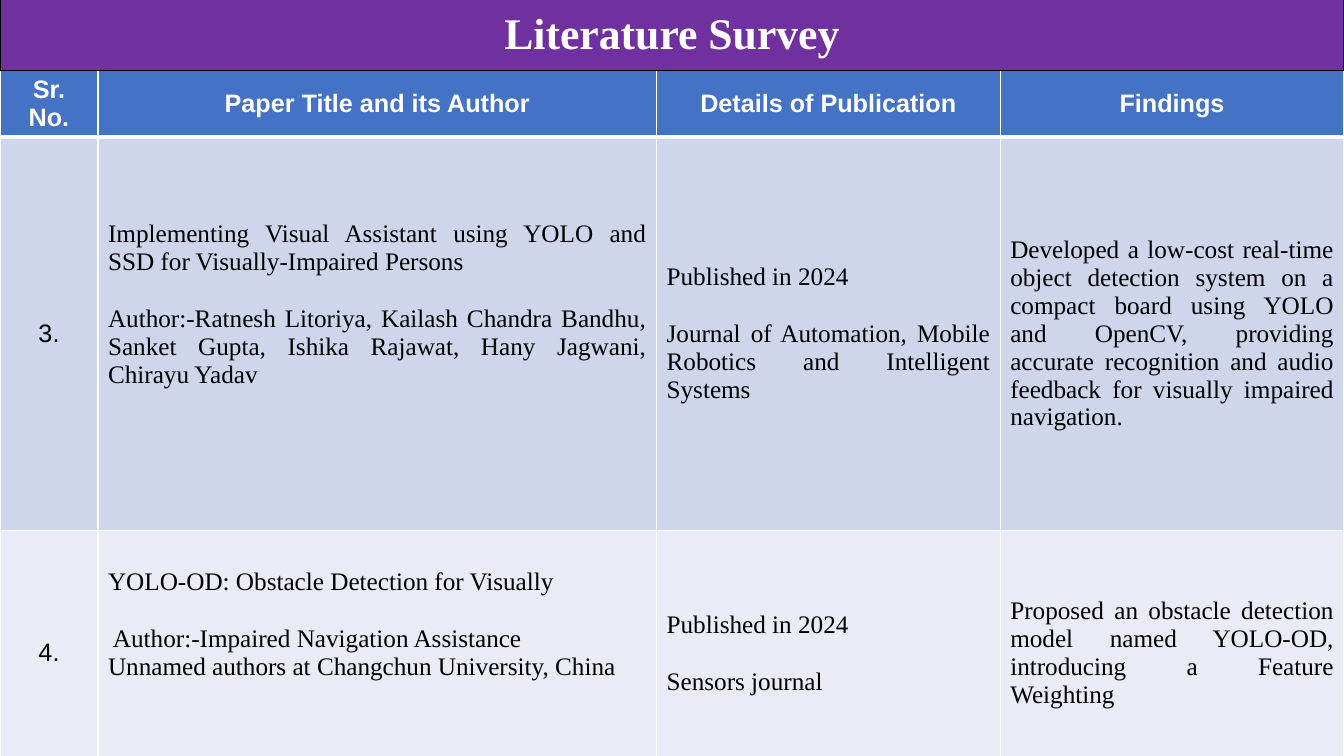
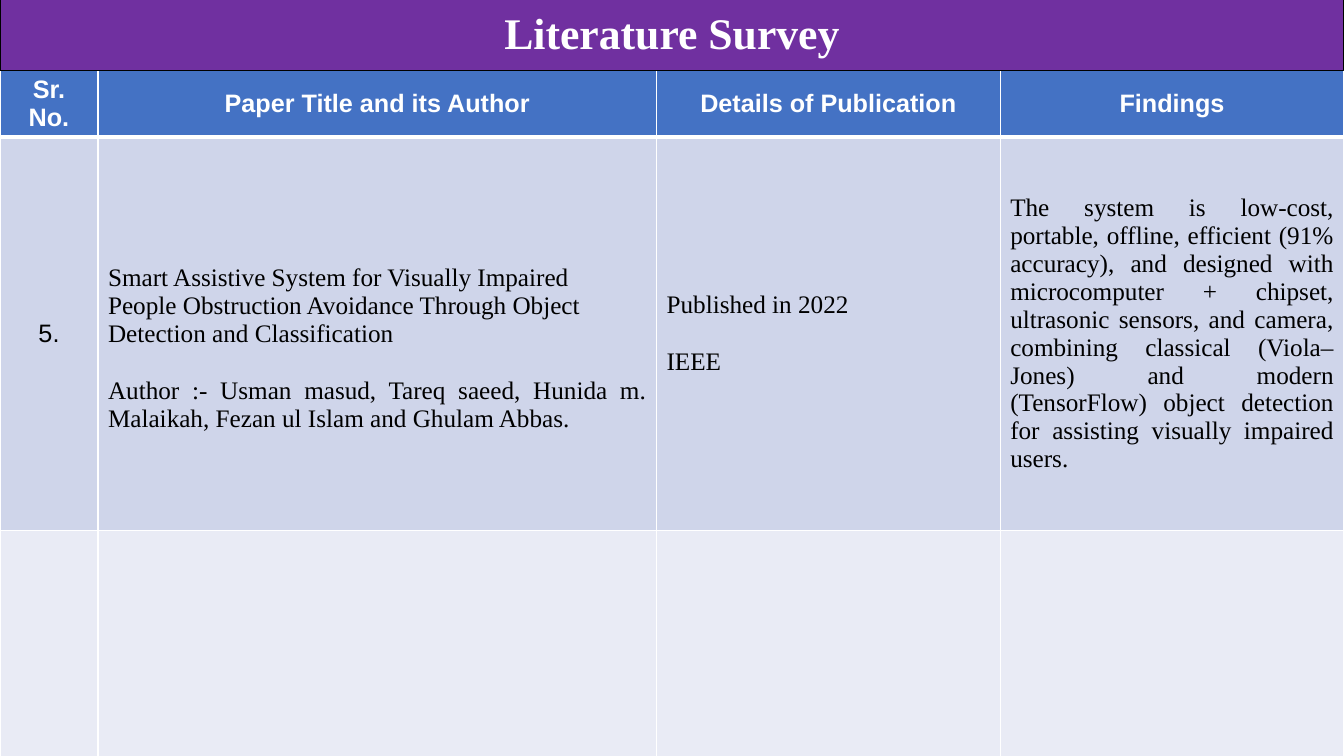
import pptx
import pptx.dml.color
import pptx.enum.shapes
import pptx.enum.text
import pptx.oxml
import pptx.oxml.ns
import pptx.util

Pt = pptx.util.Pt
RGB = pptx.dml.color.RGBColor.from_string
ALIGN = pptx.enum.text.PP_ALIGN
MIDDLE = pptx.enum.text.MSO_ANCHOR.MIDDLE

THEME = {
    "banner": "7030A0", "banner_line": "000000",
    "header": "4472C4", "bands": ("CFD5EA", "E9EBF5"), "border": "FFFFFF",
    "thin": 1, "thick": 3, "line": 20.7,
    "title": {"name": "Times New Roman", "size": Pt(31.2), "bold": True, "color": "FFFFFF"},
    "head": {"name": "Arial", "size": Pt(18), "bold": True, "color": "FFFFFF"},
    "number": {"name": "Arial", "size": Pt(18), "bold": False, "color": "000000"},
    "body": {"name": "Times New Roman", "size": Pt(18), "bold": False, "color": "000000"},
}
WIDTH, HEIGHT, BANNER_H = 960, 540, 50.4
COL_WIDTHS = (70, 399, 245.5, 245.5)
ROW_HEIGHTS = (33.1, 280.8, 175.7)
HEADINGS = ("Sr. No.", "Paper Title and its Author", "Details of Publication", "Findings")

# Papers per slide: an empty line in a cell marks a gap between paragraphs.
# Offsets give the lines of extra room above and below the paper title cell.
SLIDES = [
    {
        "rows": [
            ("3.",
             "Implementing Visual Assistant using YOLO and SSD for Visually-Impaired Persons\n\n"
             "Author:-Ratnesh Litoriya, Kailash Chandra Bandhu, Sanket Gupta, Ishika Rajawat, "
             "Hany Jagwani, Chirayu Yadav",
             "Published in 2024\n\nJournal of Automation, Mobile Robotics and Intelligent Systems",
             "Developed a low-cost real-time object detection system on a compact board using YOLO "
             "and OpenCV, providing accurate recognition and audio feedback for visually impaired "
             "navigation."),
            ("4.",
             "YOLO-OD: Obstacle Detection for Visually\n\n"
             " Author:-Impaired Navigation Assistance\n"
             "Unnamed authors at Changchun University, China",
             "Published in 2024\n\nSensors journal",
             "Proposed an obstacle detection model named YOLO-OD, introducing a Feature Weighting"),
        ],
        "offsets": [(0, 2), (0, 2)],
    },
    {
        "rows": [
            ("5.",
             "Smart Assistive System for Visually Impaired\n"
             "People Obstruction Avoidance Through Object\n"
             "Detection and Classification\n\n"
             "Author :- Usman masud, Tareq saeed, Hunida m. Malaikah, Fezan ul Islam and Ghulam Abbas.",
             "Published in 2022\n\nIEEE",
             "The system is low-cost, portable, offline, efficient (91% accuracy), and designed with "
             "microcomputer + chipset, ultrasonic sensors, and camera, combining classical "
             "(Viola–Jones) and modern (TensorFlow) object detection for assisting visually impaired "
             "users."),
            ("", "", "", ""),
        ],
        "offsets": [(1, 0), (0, 0)],
    },
]


def write(tf, text, style, align):
    """Fill a text frame, turning empty lines into space before a paragraph."""
    p = tf.paragraphs[0]
    for b, block in enumerate(text.split("\n\n")):
        for n, line in enumerate(block.split("\n")):
            if b or n:
                p = tf.add_paragraph()
            if b and not n:
                p.space_before = Pt(THEME["line"])
            p.alignment = align
            if not line:
                continue
            r = p.add_run()
            r.text = line
            for key, value in THEME[style].items():
                if key == "color":
                    r.font.color.rgb = RGB(value)
                else:
                    setattr(r.font, key, value)


def set_borders(cell, top, bottom):
    """Draw the four sides of a cell; top and bottom are widths in points."""
    tc_pr = cell._tc.get_or_add_tcPr()
    sides = {"L": THEME["thin"], "R": THEME["thin"], "T": top, "B": bottom}
    for side, width in sides.items():
        tc_pr.append(pptx.oxml.parse_xml(
            f'<a:ln{side} {pptx.oxml.ns.nsdecls("a")} w="{Pt(width)}"><a:solidFill>'
            f'<a:srgbClr val="{THEME["border"]}"/></a:solidFill></a:ln{side}>'))


prs = pptx.Presentation()
prs.slide_width, prs.slide_height = Pt(WIDTH), Pt(HEIGHT)

for content in SLIDES:
    s = prs.slides.add_slide(prs.slide_layouts[6])

    # Survey table
    table = s.shapes.add_table(len(ROW_HEIGHTS), len(COL_WIDTHS), Pt(0), Pt(BANNER_H),
                               Pt(WIDTH), Pt(HEIGHT - BANNER_H)).table
    for col, width in zip(table.columns, COL_WIDTHS):
        col.width = Pt(width)
    for row, height in zip(table.rows, ROW_HEIGHTS):
        row.height = Pt(height)
    for i, texts in enumerate([HEADINGS] + content["rows"]):
        for j, text in enumerate(texts):
            cell = table.cell(i, j)
            set_borders(cell, THEME["thick" if i == 1 else "thin"],
                        THEME["thick" if i == 0 else "thin"])
            cell.fill.solid()
            cell.fill.fore_color.rgb = RGB(THEME["bands"][i - 1] if i else THEME["header"])
            cell.vertical_anchor = MIDDLE
            style = "head" if i == 0 else "number" if j == 0 else "body"
            write(cell.text_frame, text, style, ALIGN.JUSTIFY if style == "body" else ALIGN.CENTER)
    for i, (above, below) in enumerate(content["offsets"], 1):
        cell = table.cell(i, 1)
        cell.margin_top = Pt(3.6 + above * THEME["line"])
        cell.margin_bottom = Pt(3.6 + below * THEME["line"])

    # Title banner
    sp = s.shapes.add_shape(pptx.enum.shapes.MSO_SHAPE.RECTANGLE,
                            Pt(0), Pt(0), Pt(WIDTH), Pt(BANNER_H))
    sp.shadow.inherit = False
    sp.fill.solid()
    sp.fill.fore_color.rgb = RGB(THEME["banner"])
    sp.line.color.rgb = RGB(THEME["banner_line"])
    sp.line.width = Pt(0.75)
    tf = sp.text_frame
    tf.word_wrap = True
    tf.vertical_anchor = MIDDLE
    write(tf, "Literature Survey", "title", ALIGN.CENTER)
    tf.paragraphs[0].line_spacing = 0.9

prs.save("out.pptx")
